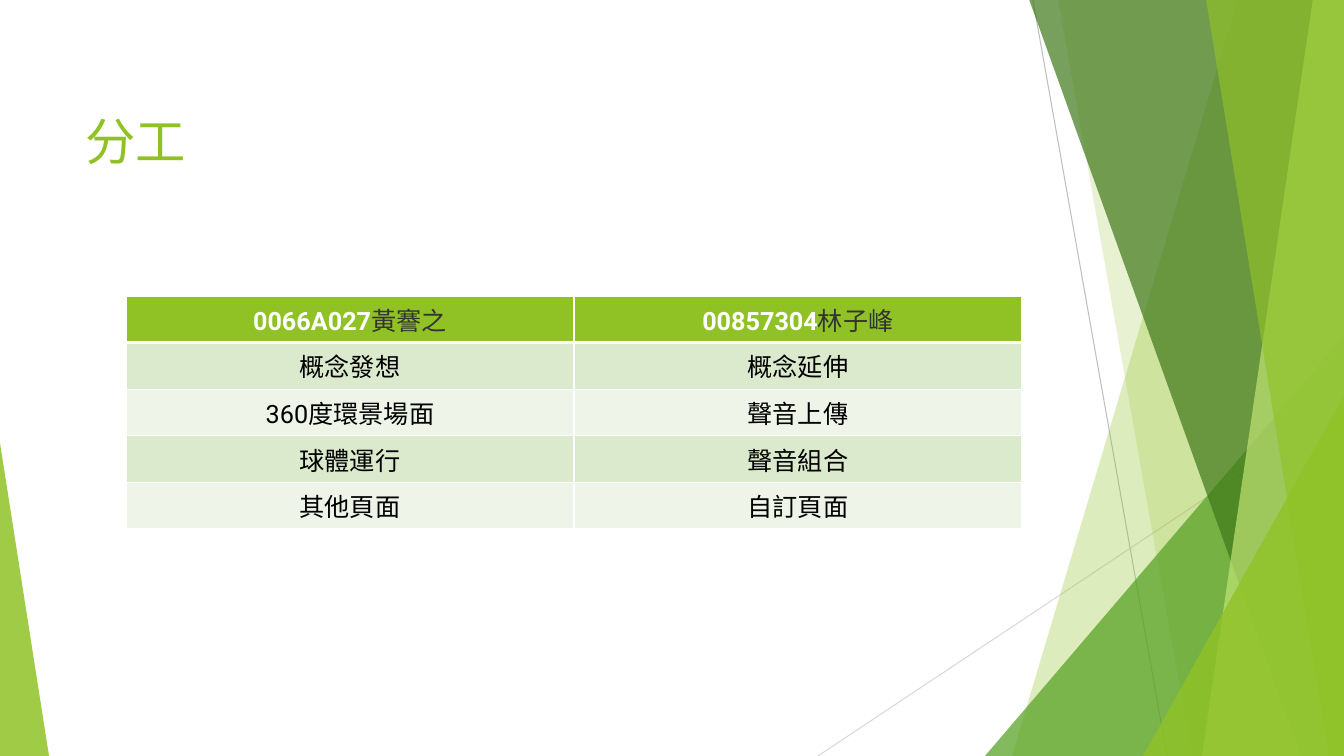
from dataclasses import dataclass

from lxml import etree
from pptx import Presentation
from pptx import util as u
from pptx.dml.color import RGBColor
from pptx.enum import shapes, text
from pptx.oxml.ns import qn

# Content
TITLE = "分工"
MEMBERS = [("0066A027", "黃謇之"), ("00857304", "林子峰")]
TASKS = [
    ("概念發想", "概念延伸"),
    ("360度環景場面", "聲音上傳"),
    ("球體運行", "聲音組合"),
    ("其他頁面", "自訂頁面"),
]


@dataclass(frozen=True)
class Theme:
    font: str = "Roboto"
    title_size: int = 36
    cell_size: int = 18
    green: str = "90C226"
    leaf: str = "54A021"
    forest: str = "3F7819"
    lime: str = "C0E474"
    white: str = "FFFFFF"
    black: str = "000000"
    gray: str = "333333"
    bands: tuple = ("DBE9CD", "EEF4E8")


theme = Theme()

# Layout in px
SCALE = 914400 / 100.8
WIDTH, HEIGHT, TOP = 1344, 756, -1
TITLE_BOX = (75, 105, 948, 108)
TABLE_LEFT, TABLE_TOP, COLUMN, ROW = 126, 296, 448, 41

# Thin lines: start, end, colour
LINES = [
    ((1033, 0), (1167, HEIGHT), "BFBFBF"),
    ((WIDTH, 406), (818, HEIGHT), "D9D9D9"),
]
# Facets, back to front. A band runs to the right edge from its top and bottom x;
# a triangle has a box and an apex position.
FACETS = [
    ("band", (1238, 1012), theme.green, 30),
    ("band", (1058, 1192), theme.green, 20),
    ("triangle", (985, 336, 359, 420, 1), theme.leaf, 72),
    ("band", (1029, 1301), theme.forest, 70),
    ("band", (1313, 1202), theme.lime, 70),
    ("band", (1206, 1329), theme.green, 65),
    ("triangle", (1143, 396, 201, 360, 1), theme.green, 80),
    ("triangle", (0, 443, 49, 313, 0), theme.green, 85),
]


def px(*lengths):
    return [u.Emu(round(length * SCALE)) for length in lengths]


def rgb(color):
    return RGBColor.from_string(color)


def style_span(span, size, color, bold=False):
    span.font.name = theme.font
    span.font.size = u.Pt(size)
    span.font.bold = bold
    span.font.color.rgb = rgb(color)


def add_line(page, start, end, color):
    line = page.shapes.add_connector(
        shapes.MSO_CONNECTOR.STRAIGHT, *px(*start), *px(*end))
    line.line.color.rgb = rgb(color)
    line.line.width = u.Pt(0.75)
    etree.SubElement(line._element.spPr, qn("a:effectLst"))


def add_facet(page, kind, place, color, opacity):
    if kind == "band":
        top_x, bottom_x = place
        outline = page.shapes.build_freeform(top_x, TOP, scale=SCALE)
        outline.add_line_segments(
            [(WIDTH, TOP), (WIDTH, HEIGHT), (bottom_x, HEIGHT)], close=True)
        facet = outline.convert_to_shape()
    else:
        *box, apex = place
        facet = page.shapes.add_shape(
            shapes.MSO_SHAPE.ISOSCELES_TRIANGLE, *px(*box))
        facet.adjustments[0] = apex
    facet.shadow.inherit = False
    facet.line.fill.background()
    facet.fill.solid()
    facet.fill.fore_color.rgb = rgb(color)
    tint = facet._element.spPr.find(qn("a:solidFill"))[0]
    etree.SubElement(tint, qn("a:alpha"), val=str(opacity * 1000))


def add_borders(cell, row):
    widths = {"lnL": 1, "lnR": 1, "lnT": 3 if row == 1 else 1,
              "lnB": 3 if row == 0 else 1}
    properties = cell._tc.get_or_add_tcPr()
    for position, (side, width) in enumerate(widths.items()):
        border = etree.Element(qn(f"a:{side}"), w=str(u.Pt(width)))
        fill = etree.SubElement(border, qn("a:solidFill"))
        etree.SubElement(fill, qn("a:srgbClr"), val=theme.white)
        properties.insert(position, border)


def add_title(page):
    title = page.shapes.title
    title.left, title.top, title.width, title.height = px(*TITLE_BOX)
    frame = title.text_frame
    frame.text = TITLE
    frame.word_wrap = True
    frame.auto_size = text.MSO_AUTO_SIZE.NONE
    frame.vertical_anchor = text.MSO_ANCHOR.TOP
    para = frame.paragraphs[0]
    para.alignment = text.PP_ALIGN.LEFT
    style_span(para.runs[0], theme.title_size, theme.green)


def add_task_table(page):
    rows = [MEMBERS] + [[(task,) for task in tasks] for tasks in TASKS]
    columns = len(MEMBERS)
    table = page.shapes.add_table(
        len(rows), columns,
        *px(TABLE_LEFT, TABLE_TOP, COLUMN * columns, ROW * len(rows))).table
    for r, entries in enumerate(rows):
        for c, parts in enumerate(entries):
            cell = table.cell(r, c)
            cell.fill.solid()
            cell.fill.fore_color.rgb = rgb(
                theme.bands[(r - 1) % 2] if r else theme.green)
            add_borders(cell, r)
            para = cell.text_frame.paragraphs[0]
            para.alignment = text.PP_ALIGN.CENTER
            for i, part in enumerate(parts):
                span = para.add_run()
                span.text = part
                header_color = theme.gray if i else theme.white
                style_span(span, theme.cell_size,
                           theme.black if r else header_color,
                           bold=r == 0 and i == 0)


def main():
    deck = Presentation()
    deck.slide_width, deck.slide_height = px(WIDTH, HEIGHT)
    page = deck.slides.add_slide(deck.slide_layouts[5])

    # Background facets
    for line in LINES:
        add_line(page, *line)
    for facet in FACETS:
        add_facet(page, *facet)

    # Title and division of work
    add_title(page)
    add_task_table(page)
    deck.save("out.pptx")


if __name__ == "__main__":
    main()
